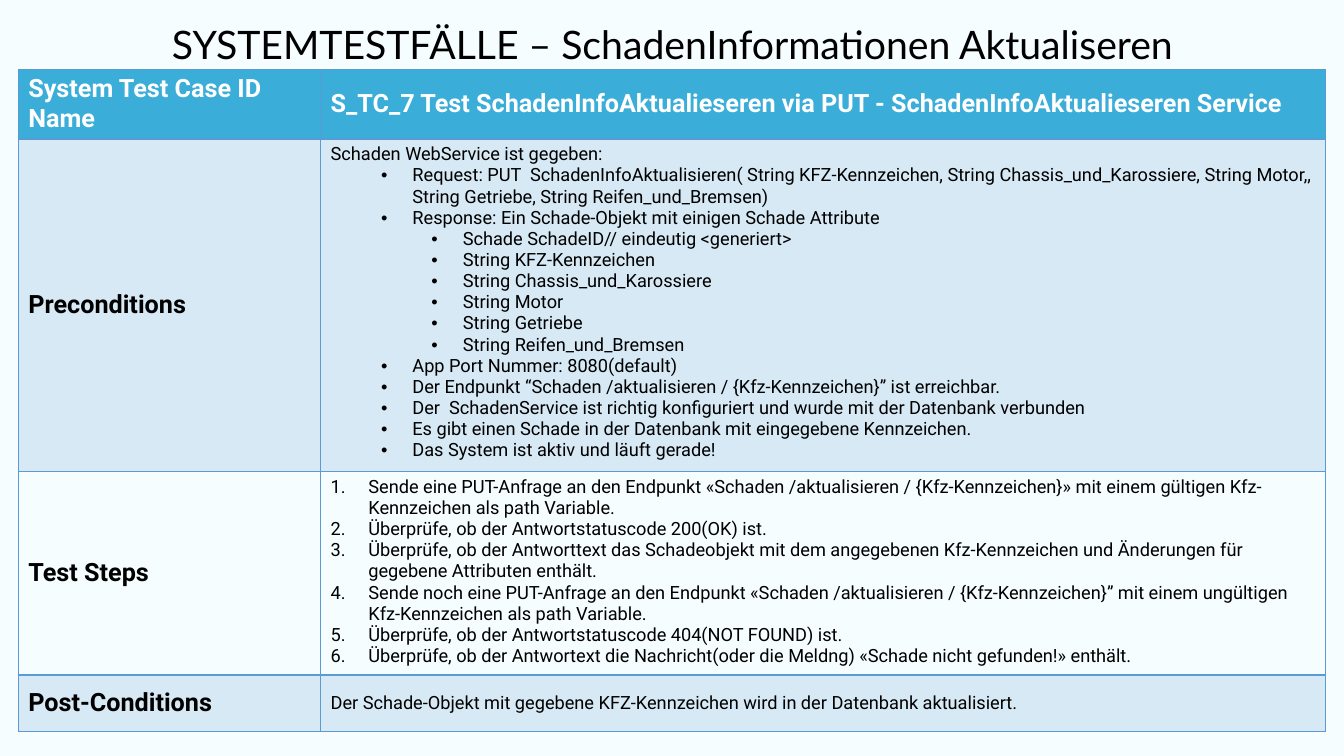
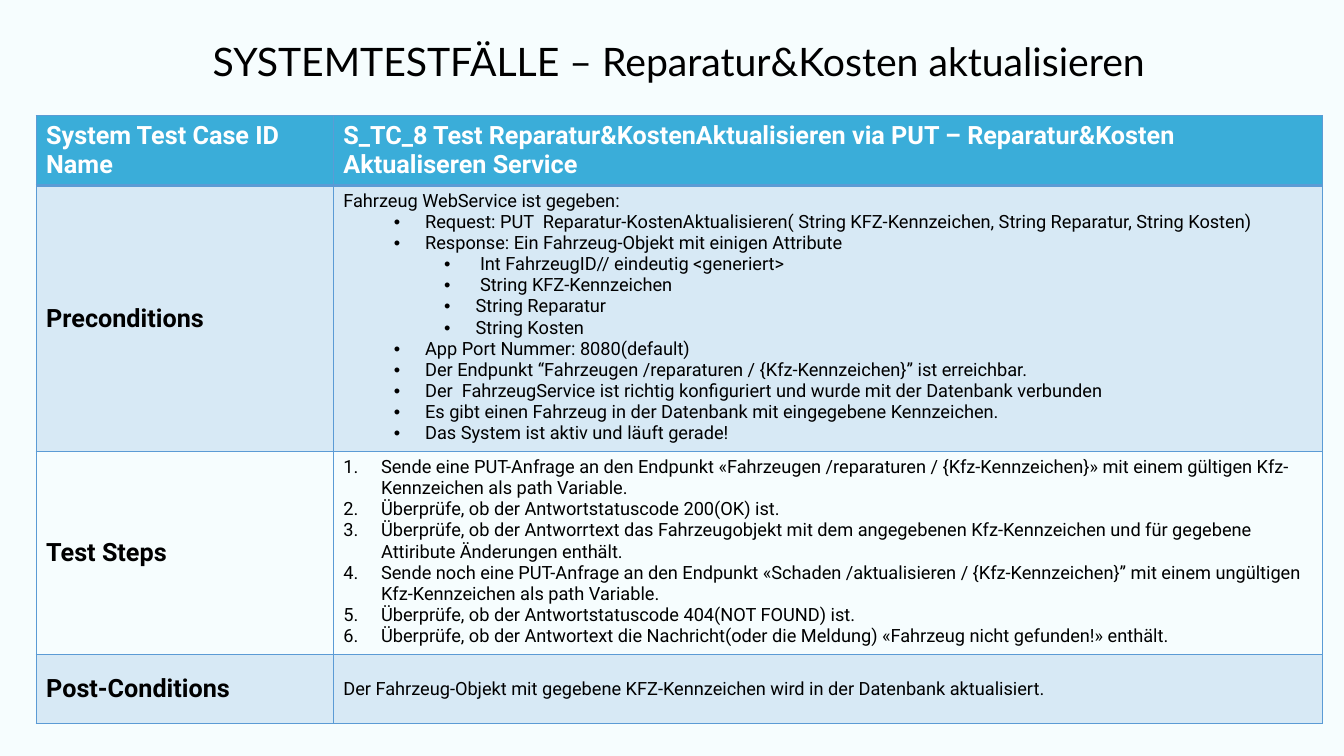
from dataclasses import dataclass

from lxml.etree import SubElement
from pptx import Presentation
from pptx.dml.color import RGBColor
from pptx.enum.text import MSO_ANCHOR, MSO_AUTO_SIZE, PP_ALIGN
from pptx.oxml.ns import qn
from pptx.util import Cm, Pt


# Style shared by all slides
@dataclass(frozen=True)
class Theme:
    background: str = "F6FDFE"
    header: str = "3AADD9"
    accent: str = "5B9BD5"
    text: str = "000000"
    header_text: str = "FFFFFF"
    band_opacity: int = 20
    title_font: str = "Lato"
    body_font: str = "Roboto"
    bullet_font: str = "Arial"
    title_size: int = 28
    label_size: int = 18
    body_size: int = 13


# Left margin and hanging indent in cm for each kind of list item
INDENTS = {"bullet": (2.06, 0.79), "sub": (3.33, 0.79), "number": (0.95, 0.95)}
LABELS = ("System Test Case ID Name", "Preconditions", "Test Steps", "Post-Conditions")


class TestCaseDeck:
    def __init__(self, theme):
        self.theme = theme
        self.deck = Presentation()
        self.deck.slide_width, self.deck.slide_height = Cm(33.87), Cm(19.05)
        fill = self.deck.slide_master.background.fill
        fill.solid()
        fill.fore_color.rgb = RGBColor.from_string(theme.background)
        self.page = None

    def add_page(self):
        self.page = self.deck.slides.add_slide(self.deck.slide_layouts[5])

    def style(self, para, size, color, font, bold=False):
        for span in para.runs:
            span.font.size = Pt(size)
            span.font.name = font
            span.font.bold = bold
            span.font.color.rgb = RGBColor.from_string(color)

    def add_title(self, text, left, top, width, height=1.19):
        box = self.page.shapes.title
        box.left, box.top, box.width, box.height = map(Cm, (left, top, width, height))
        frame = box.text_frame
        frame.text = text
        frame.auto_size = MSO_AUTO_SIZE.NONE
        frame.vertical_anchor = MSO_ANCHOR.MIDDLE
        para = frame.paragraphs[0]
        para.alignment = PP_ALIGN.CENTER
        para.line_spacing = 0.9
        self.style(para, self.theme.title_size, self.theme.text, self.theme.title_font)

    def add_table(self, left, top, columns, rows, contents):
        """Each entry of contents is the list of (kind, text) items of one row."""
        frame = self.page.shapes.add_table(
            len(rows), len(columns), Cm(left), Cm(top), Cm(sum(columns)), Cm(sum(rows)))
        table = frame.table
        table.horz_banding = False
        for column, width in zip(table.columns, columns):
            column.width = Cm(width)
        for index, (label, items) in enumerate(zip(LABELS, contents)):
            table.rows[index].height = Cm(rows[index])
            for cell, entries in zip(table.rows[index].cells, ([("label", label)], items)):
                self.outline(cell, is_header=index == 0)
                self.shade(cell, index)
                self.fill_text(cell, entries, is_header=index == 0)

    def outline(self, cell, is_header):
        properties = cell._tc.get_or_add_tcPr()
        for side in ("lnL", "lnR", "lnT", "lnB"):
            width = Pt(2 if is_header and side == "lnB" else 1)
            line = SubElement(properties, qn(f"a:{side}"), w=str(int(width)))
            fill = SubElement(line, qn("a:solidFill"))
            SubElement(fill, qn("a:srgbClr"), val=self.theme.accent)

    def shade(self, cell, index):
        if LABELS[index] == "Test Steps":
            cell.fill.background()
            return
        color = self.theme.accent if index else self.theme.header
        cell.fill.solid()
        cell.fill.fore_color.rgb = RGBColor.from_string(color)
        if index:
            swatch = cell._tc.tcPr.find(qn("a:solidFill")).find(qn("a:srgbClr"))
            SubElement(swatch, qn("a:alpha"), val=str(self.theme.band_opacity * 1000))

    def fill_text(self, cell, entries, is_header):
        theme = self.theme
        is_list = len(entries) > 1
        cell.vertical_anchor = MSO_ANCHOR.TOP if is_list else MSO_ANCHOR.MIDDLE
        frame = cell.text_frame
        frame.text = "\n".join(text for _, text in entries)
        for para, (kind, _) in zip(frame.paragraphs, entries):
            is_label = kind == "label"
            self.style(para, theme.label_size if is_label else theme.body_size,
                       theme.header_text if is_header else theme.text,
                       theme.body_font, bold=is_label)
            if kind in INDENTS:
                self.mark(para, kind)

    def mark(self, para, kind):
        margin, hanging = INDENTS[kind]
        properties = para._p.get_or_add_pPr()
        properties.set("marL", str(int(Cm(margin))))
        properties.set("indent", str(-int(Cm(hanging))))
        if kind == "number":
            SubElement(properties, qn("a:buFont"), typeface=self.theme.body_font)
            SubElement(properties, qn("a:buAutoNum"), type="arabicPeriod")
        else:
            para.level = 2 if kind == "sub" else 1
            SubElement(properties, qn("a:buFont"), typeface=self.theme.bullet_font)
            SubElement(properties, qn("a:buChar"), char="•")


# Wording shared by the test cases
def preconditions(service, request, response, attributes, endpoint, record):
    return [
        ("plain", f"{service} WebService ist gegeben:"),
        ("bullet", f"Request: PUT  {request}"),
        ("bullet", f"Response: Ein {response}"),
        *(("sub", attribute) for attribute in attributes),
        ("bullet", "App Port Nummer: 8080(default)"),
        ("bullet", f"Der Endpunkt “{endpoint} / {{Kfz-Kennzeichen}}” ist erreichbar."),
        ("bullet", f"Der  {service}Service ist richtig konfiguriert und wurde mit der "
                   "Datenbank verbunden"),
        ("bullet", f"Es gibt einen {record} in der Datenbank mit eingegebene Kennzeichen."),
        ("bullet", "Das System ist aktiv und läuft gerade!"),
    ]


def test_steps(endpoint, answer, message):
    return [("number", step) for step in (
        f"Sende eine PUT-Anfrage an den Endpunkt «{endpoint} / {{Kfz-Kennzeichen}}» "
        "mit einem gültigen Kfz-Kennzeichen als path Variable.",
        "Überprüfe, ob der Antwortstatuscode 200(OK) ist.",
        f"Überprüfe, ob der {answer} enthält.",
        "Sende noch eine PUT-Anfrage an den Endpunkt «Schaden /aktualisieren / "
        "{Kfz-Kennzeichen}” mit einem ungültigen Kfz-Kennzeichen als path Variable.",
        "Überprüfe, ob der Antwortstatuscode 404(NOT FOUND) ist.",
        f"Überprüfe, ob der Antwortext die Nachricht(oder die {message} enthält.",
    )]


def post_condition(record):
    return [("plain", f"Der {record}-Objekt mit gegebene KFZ-Kennzeichen wird in der "
                      "Datenbank aktualisiert.")]


def main():
    builder = TestCaseDeck(Theme())

    # Test case 7: damage information
    endpoint = "Schaden /aktualisieren"
    builder.add_page()
    builder.add_title("SYSTEMTESTFÄLLE – SchadenInformationen Aktualiseren ", 0.74, 0.58, 32.66)
    builder.add_table(0.46, 1.75, (7.62, 25.32), (1.75, 8.38, 5.13, 1.42), (
        [("label", "S_TC_7 Test SchadenInfoAktualieseren via PUT - "
                   "SchadenInfoAktualieseren Service")],
        preconditions(
            "Schaden",
            "SchadenInfoAktualisieren( String KFZ-Kennzeichen, String Chassis_und_Karossiere, "
            "String Motor,, String Getriebe, String Reifen_und_Bremsen)",
            "Schade-Objekt mit einigen Schade Attribute",
            ("Schade SchadeID// eindeutig <generiert>", "String KFZ-Kennzeichen",
             "String Chassis_und_Karossiere", "String Motor", "String Getriebe",
             "String Reifen_und_Bremsen"),
            endpoint, "Schade"),
        test_steps(
            endpoint,
            "Antworttext das Schadeobjekt mit dem angegebenen Kfz-Kennzeichen und "
            "Änderungen für gegebene Attributen",
            "Meldng) «Schade nicht gefunden!»"),
        post_condition("Schade"),
    ))

    # Test case 8: repair and costs
    endpoint = "Fahrzeugen /reparaturen"
    builder.add_page()
    builder.add_title("SYSTEMTESTFÄLLE – Reparatur&Kosten aktualisieren", 0.91, 1.02, 32.39)
    builder.add_table(0.91, 2.92, (7.49, 24.92), (1.75, 6.71, 5.11, 1.75), (
        [("label", "S_TC_8 Test Reparatur&KostenAktualisieren via PUT – "
                   "Reparatur&Kosten Aktualiseren Service")],
        preconditions(
            "Fahrzeug",
            "Reparatur-KostenAktualisieren( String KFZ-Kennzeichen, String Reparatur, "
            "String Kosten)",
            "Fahrzeug-Objekt mit einigen Attribute",
            (" Int FahrzeugID// eindeutig <generiert>", " String KFZ-Kennzeichen",
             "String Reparatur", "String Kosten"),
            endpoint, "Fahrzeug"),
        test_steps(
            endpoint,
            "Antworrtext das Fahrzeugobjekt mit dem angegebenen Kfz-Kennzeichen und "
            "für gegebene Attiribute Änderungen",
            "Meldung) «Fahrzeug nicht gefunden!»"),
        post_condition("Fahrzeug"),
    ))

    builder.deck.save("out.pptx")


if __name__ == "__main__":
    main()
